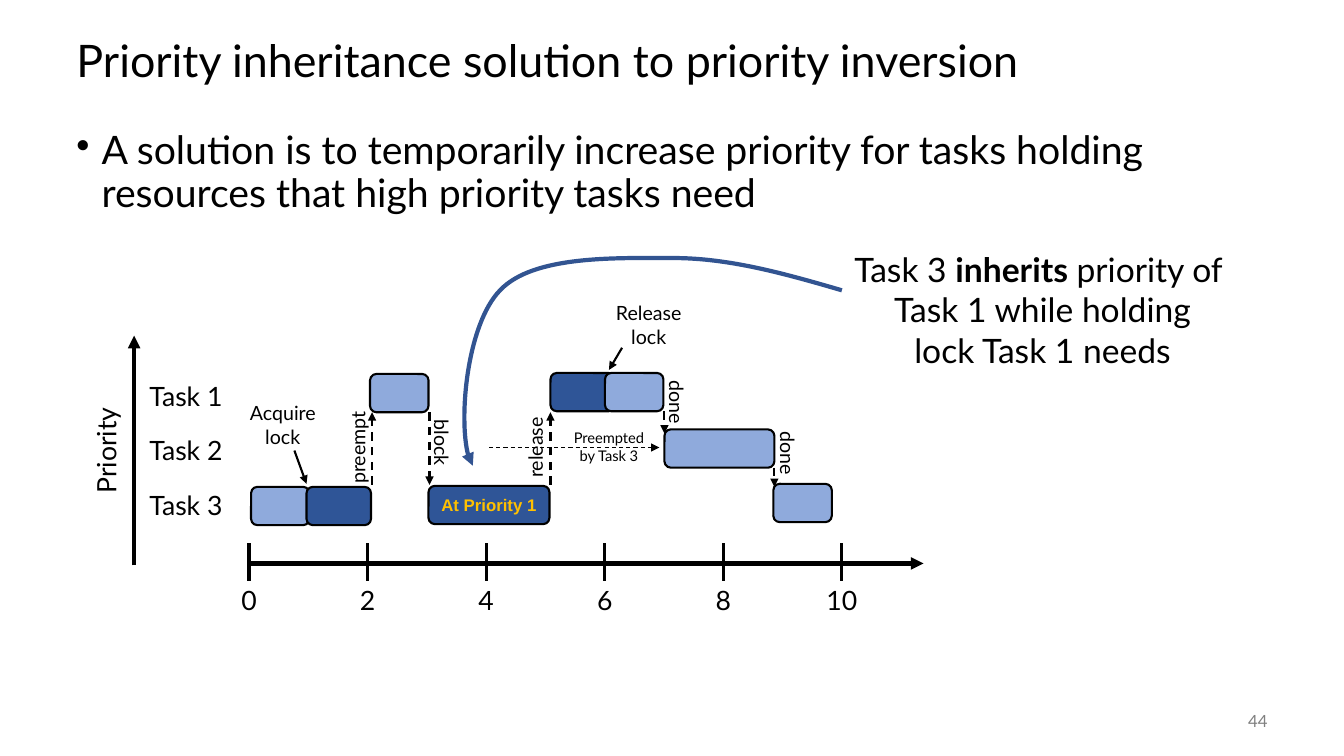
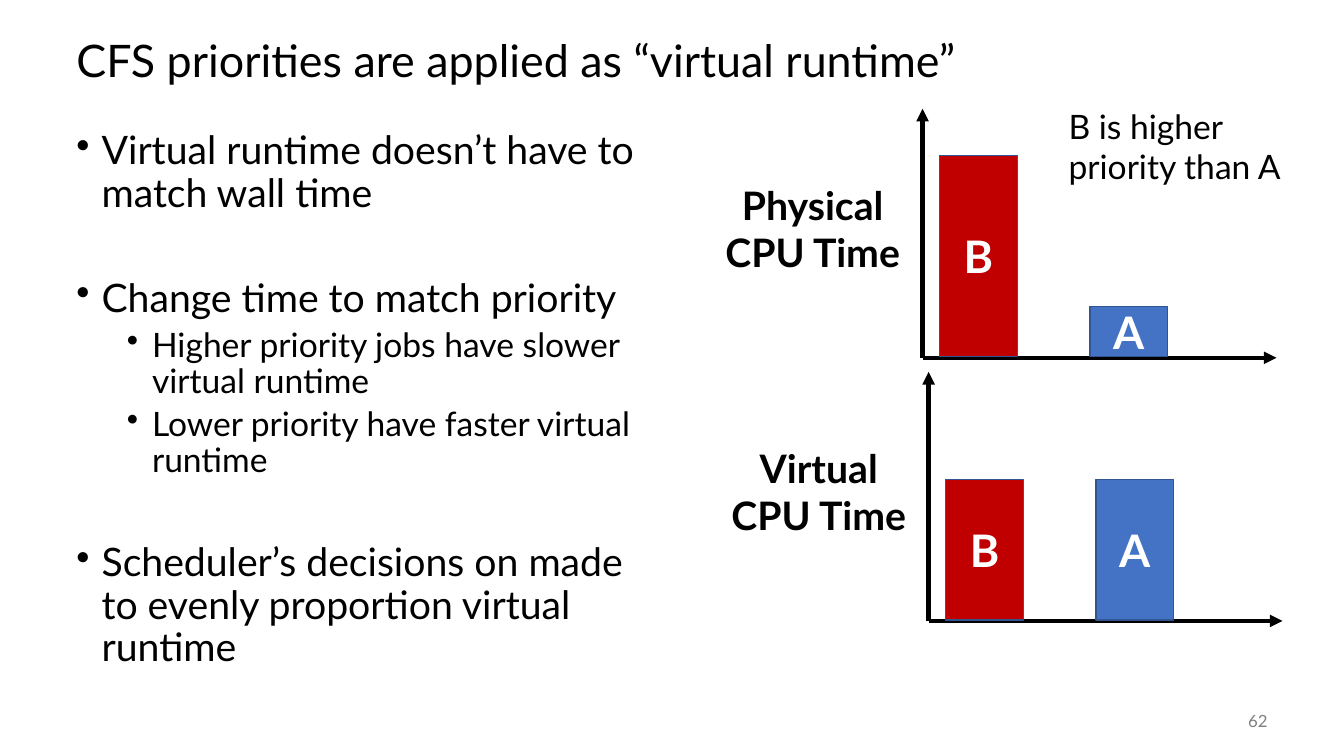
"""Build two slides on task priorities: inheritance and virtual runtime."""
from lxml import etree
from pptx import Presentation
from pptx.dml.color import RGBColor
from pptx.enum.dml import MSO_LINE
from pptx.enum.shapes import MSO_CONNECTOR, MSO_SHAPE
from pptx.enum.text import MSO_ANCHOR, PP_ALIGN
from pptx.oxml.ns import qn
from pptx.util import Pt

LEFT, MID, RIGHT = PP_ALIGN.LEFT, PP_ALIGN.CENTER, PP_ALIGN.RIGHT
TOP, HALF = MSO_ANCHOR.TOP, MSO_ANCHOR.MIDDLE
ROUND, RECT = MSO_SHAPE.ROUNDED_RECTANGLE, MSO_SHAPE.RECTANGLE
LINE, DASH = MSO_CONNECTOR.STRAIGHT, MSO_LINE.DASH

SCALE = 9144
FONT = "Lato"
HUES = {
    "ink": "000000", "white": "FFFFFF", "gray": "808080",
    "pale": "8FAADC", "deep": "2F5597", "gold": "FFC000",
    "edge": "325491", "red": "C00000", "blue": "4472C4",
}
LEVELS = [(25, 28, 14), (75, 24, 5)]

HEIR = {
    "title": "Priority inheritance solution to priority inversion",
    "num": "44",
    "width": 1200,
    "body": [(0, "A solution is to temporarily increase priority for tasks "
                 "holding resources that high priority tasks need", 0)],
}
CFS = {
    "title": "CFS priorities are applied as “virtual runtime”",
    "num": "62",
    "width": 600,
    "body": [
        (0, "Virtual runtime doesn’t have to match wall time", 0),
        (0, "Change time to match priority", 31),
        (1, "Higher priority jobs have slower virtual runtime", 0),
        (1, "Lower priority have faster virtual runtime", 0),
        (0, "Scheduler’s decisions on made to evenly proportion virtual "
            "runtime", 31),
    ],
}

TASKS = ["Task 1", "Task 2", "Task 3"]
TIMES = ["0", "2", "4", "6", "8", "10"]
RUNS = [
    (249, 483, 58, "pale"), (304, 483, 64, "deep"), (367, 371, 58, "pale"),
    (425, 482, 120, "deep"), (659, 426, 109, "pale"), (546, 370, 64, "deep"),
    (600, 370, 58, "pale"), (767, 480, 58, "pale"),
]
BOOST = (425, "At Priority 1")
AXES = [((245, 559), (916, 559)), ((133, 561), (133, 333))]
HINTS = [((292, 447), (304, 480)), ((617, 345), (604, 367))]
SWAPS = [
    ((369, 481), (369, 409)), ((426, 409), (426, 481)),
    ((546, 481), (546, 409)), ((659, 408), (659, 430)),
    ((768, 464), (768, 483)),
]
WAIT = ((485, 444), (654, 444))
TAGS = [
    ("Preempted by Task 3", (551, 421, 106, 47), 10.5, 0),
    ("Acquire lock", (237, 393, 87, 57), 14, 0),
    ("Release lock", (598, 294, 91, 57), 14, 0),
    ("block", (391, 422, 94, 34), 14, 90),
    ("preempt", (308, 427, 94, 34), 14, 270),
    ("release", (484, 427, 94, 34), 14, 270),
    ("done", (624, 382, 94, 34), 14, 90),
    ("done", (734, 433, 94, 34), 14, 90),
    ("Priority", (48, 426, 114, 42), 19, 270),
]
NOTE = ["Task 3 ", "inherits", " priority of ", "\n",
        "Task 1 while holding", "\n", "lock Task 1 needs"]
CURVE = [(835, 288), (780, 272), (724, 256), (668, 256), (611, 256),
         (529, 253), (496, 288), (463, 322), (452, 440), (469, 462)]

GRAPHS = [
    (915, 355, "Physical\nCPU Time", 200, 50),
    (921, 616, "Virtual\nCPU Time", 139, 139),
]
RANK = "B is higher priority than A"


def px(*vals):
    return [round(val * SCALE) for val in vals]


def hue(name):
    return RGBColor.from_string(HUES[name])


def style(para, size, color="ink", bold=False, align=LEFT, font=FONT):
    para.alignment = align
    para.font.name, para.font.size = font, Pt(size)
    para.font.bold = bold
    para.font.color.rgb = hue(color)


def text(slide, words, box, size, color="ink", bold=False, align=MID,
         anchor=TOP, turn=0):
    shape = slide.shapes.add_textbox(*px(*box))
    shape.rotation = turn
    frame = shape.text_frame
    frame.word_wrap, frame.vertical_anchor = True, anchor
    frame.text = words
    for para in frame.paragraphs:
        style(para, size, color, bold, align)
    return frame


def block(slide, kind, box, fill, edge, width):
    shape = slide.shapes.add_shape(kind, *px(*box))
    shape.shadow.inherit = False
    shape.fill.solid()
    shape.fill.fore_color.rgb = hue(fill)
    shape.line.color.rgb = hue(edge)
    shape.line.width = Pt(width)
    shape.text_frame.vertical_anchor = HALF
    return shape


def label(shape, words, size, color, font=FONT):
    frame = shape.text_frame
    frame.margin_left = frame.margin_right = 0
    frame.text = words
    style(frame.paragraphs[0], size, color, True, MID, font)


def tip(shape):
    etree.SubElement(shape.line._get_or_add_ln(), qn("a:tailEnd"),
                     type="triangle")


def rule(slide, start, end, width, dash=False, arrow=True):
    line = slide.shapes.add_connector(LINE, *px(*start, *end))
    line.line.color.rgb = hue("ink")
    line.line.width = Pt(width)
    if dash:
        line.line.dash_style = DASH
    if arrow:
        tip(line)
    etree.SubElement(line._element.spPr, qn("a:effectLst"))


def curve(slide, points):
    build = slide.shapes.build_freeform(*points[0], scale=SCALE)
    build.add_line_segments(points[1:], close=False)
    shape = build.convert_to_shape()
    route = next(shape._element.iter(qn("a:path")))
    steps = route.findall(qn("a:lnTo"))
    for i in range(0, len(steps), 3):
        bend = etree.SubElement(route, qn("a:cubicBezTo"))
        for step in steps[i:i + 3]:
            bend.append(step[0])
            route.remove(step)
    shape.shadow.inherit = False
    shape.fill.background()
    shape.line.color.rgb = hue("edge")
    shape.line.width = Pt(3)
    tip(shape)


def page(deck, data):
    slide = deck.slides.add_slide(deck.slide_layouts[6])
    text(slide, data["title"], (66, 25, 1200, 75), 32, align=LEFT,
         anchor=HALF).paragraphs[0].line_spacing = 0.9
    frame = text(slide, "\n".join(item[1] for item in data["body"]),
                 (66, 125, data["width"], 550), 28, align=LEFT)
    for i, (para, item) in enumerate(zip(frame.paragraphs, data["body"])):
        level, _, gap = item
        left, size, before = LEVELS[level]
        para.level = level
        para.line_spacing = 0.9
        if i:
            para.space_before = Pt(before + gap)
        props = para._p.get_or_add_pPr()
        props.set("marL", str(left * SCALE))
        props.set("indent", str(-25 * SCALE))
        mark = etree.Element(qn("a:buChar"), char="•")
        props.find(qn("a:defRPr")).addprevious(mark)
        para.font.size = Pt(size)
    text(slide, data["num"], (1167, 695, 100, 40), 12, "gray", align=RIGHT,
         anchor=HALF)
    return slide


def heir(deck):
    slide = page(deck, HEIR)
    for start, end in AXES:
        rule(slide, start, end, 3)
    for i, time in enumerate(TIMES):
        x = 247 + 117.6 * i
        rule(slide, (x, 539), (x, 576), 2.25, arrow=False)
        text(slide, time, (x - 29, 574, 58, 42), 19)
    for i, task in enumerate(TASKS):
        text(slide, task, (136, 372 + 54 * i, 97, 42), 19)
    for x, y, wide, fill in RUNS:
        shape = block(slide, ROUND, (x, y, wide, 38), fill, "ink", 1.5)
        if x == BOOST[0]:
            label(shape, BOOST[1], 12, "gold", "Arial")
    for start, end in HINTS:
        rule(slide, start, end, 1.5)
    for start, end in SWAPS:
        rule(slide, start, end, 1.5, dash=True)
    rule(slide, *WAIT, 0.75, dash=True)
    for words, box, size, turn in TAGS:
        text(slide, words, box, size, turn=turn)
    para = text(slide, "", (819, 242, 430, 131), 24).paragraphs[0]
    for part in NOTE:
        if part == "\n":
            para.add_line_break()
        else:
            run = para.add_run()
            run.text = part
            if part == "inherits":
                run.font.bold = True
    curve(slide, CURVE)


def cfs(deck):
    slide = page(deck, CFS)
    for x, y, name, *highs in GRAPHS:
        rule(slide, (x, y), (x + 351, y), 3)
        rule(slide, (x, y), (x, y - 247), 3)
        text(slide, name, (x - 215, y - 180, 212, 104), 28, bold=True)
        bars = zip("BA", (17, 166), highs, ("red", "blue"))
        for job, shift, high, fill in bars:
            bar = block(slide, RECT, (x + shift, y - 1 - high, 77, high),
                        fill, "edge", 1)
            label(bar, job, 32, "white")
    text(slide, RANK, (1050, 100, 234, 91), 24, align=LEFT)


def main():
    deck = Presentation()
    deck.slide_width, deck.slide_height = px(1333, 750)
    heir(deck)
    cfs(deck)
    deck.save("out.pptx")


if __name__ == "__main__":
    main()
